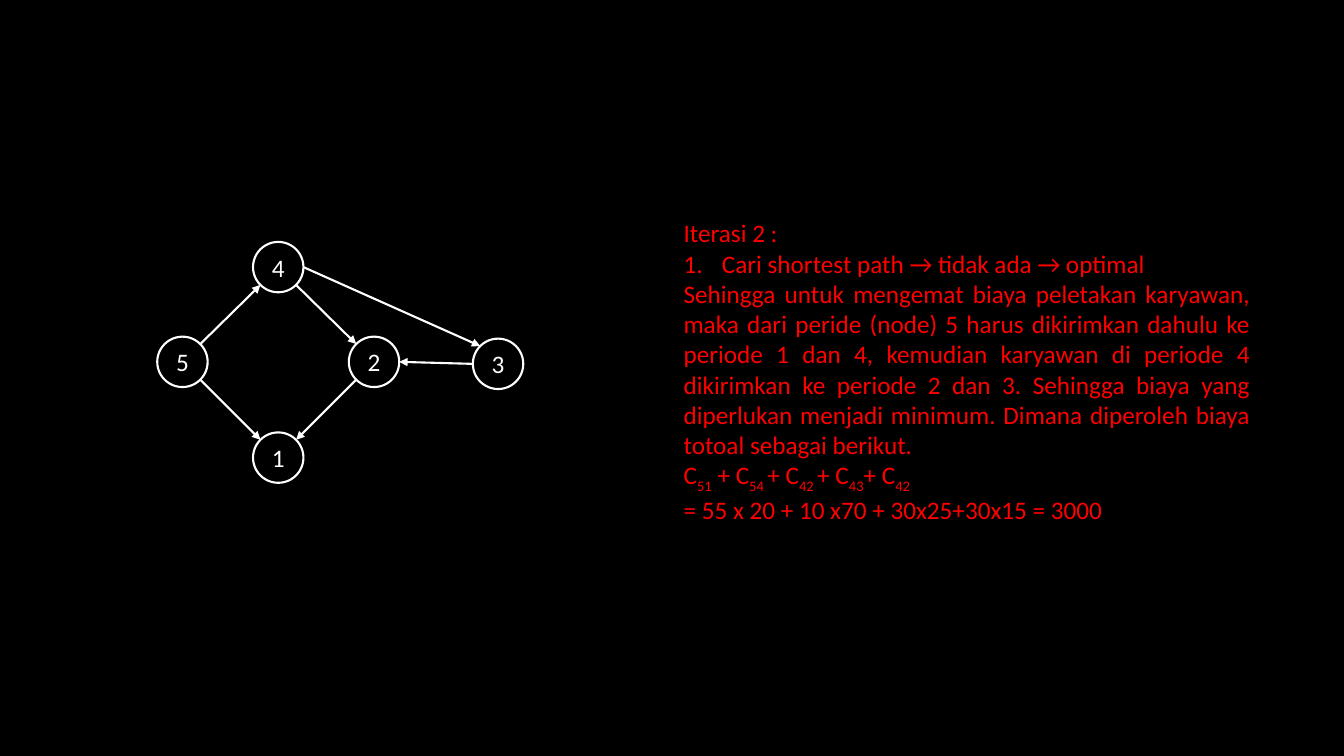
from typing import NamedTuple

from lxml import etree
from pptx import Presentation
from pptx.dml.color import RGBColor
from pptx.enum.shapes import MSO_CONNECTOR, MSO_SHAPE
from pptx.enum.text import MSO_ANCHOR, MSO_AUTO_SIZE, PP_ALIGN
from pptx.oxml.ns import qn
from pptx.util import Emu, Pt

SCALE = 9144
BLACK = RGBColor(0, 0, 0)
WHITE = RGBColor(255, 255, 255)
RED = RGBColor(255, 0, 0)
LEFT, CENTER, JUSTIFY = PP_ALIGN.LEFT, PP_ALIGN.CENTER, PP_ALIGN.JUSTIFY
TOP, MIDDLE = MSO_ANCHOR.TOP, MSO_ANCHOR.MIDDLE
GROW = MSO_AUTO_SIZE.SHAPE_TO_FIT_TEXT
OVAL = MSO_SHAPE.OVAL
STRAIGHT = MSO_CONNECTOR.STRAIGHT
SIZE = 50
INDENT = 38


class Node(NamedTuple):
    name: str
    left: int
    top: int


class Edge(NamedTuple):
    start: str
    side: tuple[int, int]
    end: str
    goal: tuple[int, int]


class Line(NamedTuple):
    text: str
    align: PP_ALIGN = JUSTIFY
    number: bool = False


NODES = [
    Node("5", 156, 334),
    Node("2", 346, 334),
    Node("4", 251, 240),
    Node("1", 251, 429),
    Node("3", 469, 336),
]
EDGES = [
    Edge("5", (1, -1), "4", (-1, 1)),
    Edge("4", (1, 1), "2", (-1, -1)),
    Edge("5", (1, 1), "1", (-1, -1)),
    Edge("2", (-1, 1), "1", (1, -1)),
    Edge("4", (1, 0), "3", (-1, -1)),
    Edge("3", (-1, 0), "2", (1, 0)),
]
LINES = [
    Line("Iterasi 2 :", LEFT),
    Line("Cari shortest path → tidak ada → optimal", LEFT, True),
    Line(
        "Sehingga untuk mengemat biaya peletakan karyawan, maka dari peride "
        "(node) 5 harus dikirimkan dahulu ke periode 1 dan 4, kemudian "
        "karyawan di periode 4 dikirimkan ke periode 2 dan 3. Sehingga biaya "
        "yang diperlukan menjadi minimum. Dimana diperoleh biaya totoal "
        "sebagai berikut."
    ),
    Line("C|51| + C|54 |+ C|42 |+ C|43|+ C|42"),
    Line("= 55 x 20 + 10 x70 + 30x25+30x15 = 3000"),
]


def px(value: float) -> Emu:
    return Emu(round(value * SCALE))


def write(par, text: str, *, color: RGBColor, align: PP_ALIGN) -> None:
    par.alignment = align
    for spot, part in enumerate(text.split("|")):
        run = par.add_run()
        run.text = part
        run.font.name = "Calibri"
        run.font.size = Pt(18)
        run.font.color.rgb = color
        if spot % 2:
            run.font._element.set("baseline", "-25000")


def mark(par, number: bool) -> None:
    props = par._p.get_or_add_pPr()
    gap = px(INDENT) if number else 0
    props.set("marL", str(gap))
    props.set("indent", str(-gap))
    if number:
        etree.SubElement(props, qn("a:buAutoNum"), type="arabicPeriod")
    else:
        etree.SubElement(props, qn("a:buNone"))
    par.space_before = Pt(0)


def fill_body(body) -> None:
    body.left, body.top = px(668), px(211)
    body.width, body.height = px(582), px(313)
    frame = body.text_frame
    frame.word_wrap = True
    frame.auto_size = GROW
    frame.vertical_anchor = TOP
    for spot, line in enumerate(LINES):
        par = frame.add_paragraph() if spot else frame.paragraphs[0]
        mark(par, line.number)
        write(par, line.text, color=RED, align=line.align)


def draw_node(slide, node: Node) -> None:
    shape = slide.shapes.add_shape(
        OVAL, px(node.left), px(node.top), px(SIZE), px(SIZE)
    )
    shape.shadow.inherit = False
    shape.fill.solid()
    shape.fill.fore_color.rgb = BLACK
    shape.line.color.rgb = WHITE
    shape.line.width = Pt(1.5)
    shape.text_frame.vertical_anchor = MIDDLE
    write(shape.text_frame.paragraphs[0], node.name, color=WHITE, align=CENTER)


def rim(node: Node, side: tuple[int, int]) -> tuple[Emu, Emu]:
    across, down = side
    reach = SIZE / 2 / (across**2 + down**2) ** 0.5
    return (
        px(node.left + SIZE / 2 + across * reach),
        px(node.top + SIZE / 2 + down * reach),
    )


def draw_edge(slide, edge: Edge, nodes: dict[str, Node]) -> None:
    start = rim(nodes[edge.start], edge.side)
    end = rim(nodes[edge.end], edge.goal)
    arrow = slide.shapes.add_connector(STRAIGHT, *start, *end)
    arrow.line.color.rgb = WHITE
    arrow.line.width = Pt(1.5)
    etree.SubElement(arrow.line._get_or_add_ln(), qn("a:tailEnd"), type="triangle")
    etree.SubElement(arrow._element.spPr, qn("a:effectLst"))


def main() -> None:
    deck = Presentation()
    deck.slide_width, deck.slide_height = px(1333), px(750)
    slide = deck.slides.add_slide(deck.slide_layouts[1])
    slide.background.fill.solid()
    slide.background.fill.fore_color.rgb = BLACK
    title = slide.shapes.title._element
    title.getparent().remove(title)
    fill_body(slide.placeholders[1])
    for node in NODES:
        draw_node(slide, node)
    nodes = {node.name: node for node in NODES}
    for edge in EDGES:
        draw_edge(slide, edge, nodes)
    deck.save("out.pptx")


if __name__ == "__main__":
    main()
